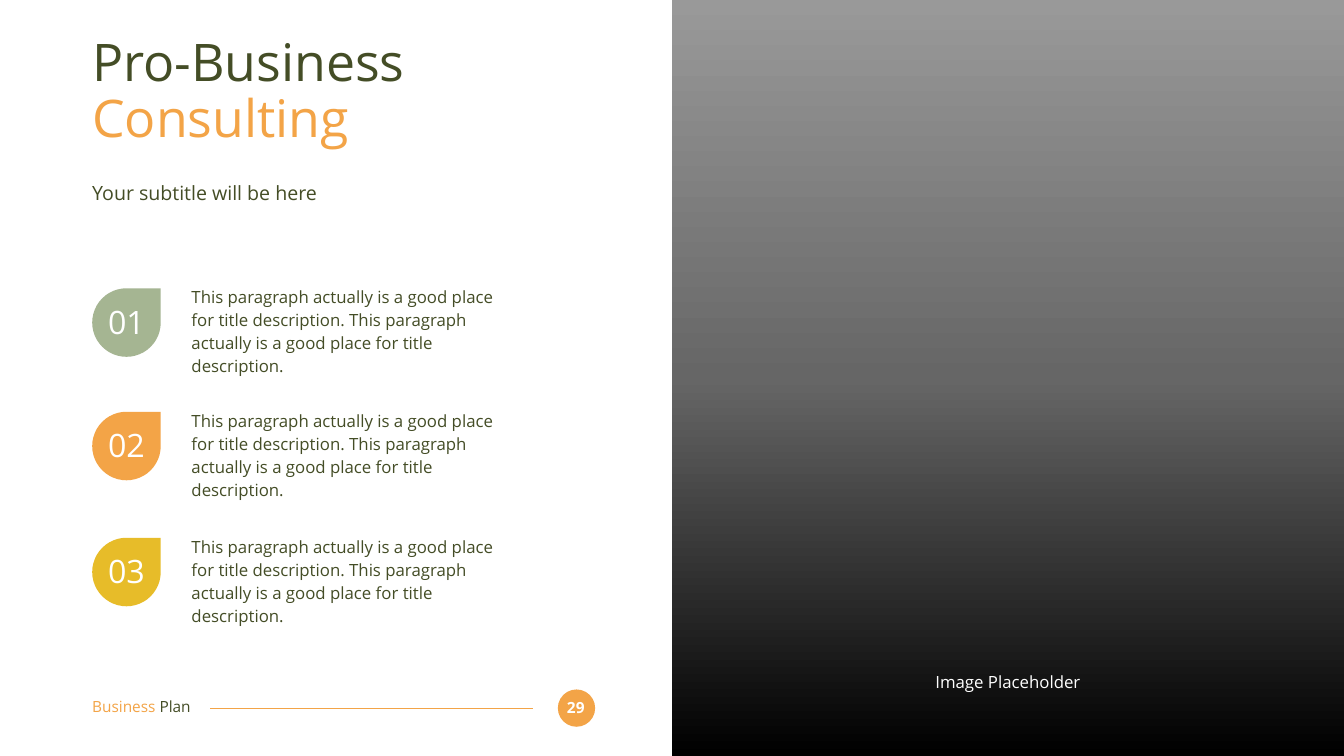
from copy import deepcopy

from pptx import Presentation
from pptx.dml.color import RGBColor
from pptx.enum import shapes, text
from pptx.oxml.ns import qn
from pptx.oxml.xmlchemy import OxmlElement
from pptx.util import Inches, Pt

THEME = {
    "font": "Open Sans",
    "dark": "444D26", "orange": "F3A447", "green": "A5B592",
    "yellow": "E7BC29", "white": "FFFFFF",
    "title": 74, "subtitle": 28, "body": 24, "number": 46, "footer": 22,
}
SLIDE_SIZE = (26.67, 15)
LEFT = 1.83
TITLE = [("Pro-Business ", "dark"), ("Consulting", "orange")]
SUBTITLE = [("Your subtitle will be here", "dark")]
FOOTER = [("Business ", "orange"), ("Plan", "dark")]
PAGE_NUMBER = [("29", "white")]
CAPTION = [("Image Placeholder", "white")]
DESCRIPTION = ("This paragraph actually is a good place for title description. "
               "This paragraph actually is a good place for title description.")
# number, drop colour, top of the row
STEPS = [("01", "green", 5.64), ("02", "orange", 8.09), ("03", "yellow", 10.59)]
PANEL_STOPS = [(0, "000000"), (0.5, "666666"), (1, "999999")]


def rgb(name):
    return RGBColor.from_string(THEME.get(name, name))


def write(box, runs, size, align=text.PP_ALIGN.LEFT, spacing=1.0, bold=False):
    frame = box.text_frame
    settings = dict(word_wrap=True, auto_size=text.MSO_AUTO_SIZE.NONE,
                    vertical_anchor=text.MSO_ANCHOR.TOP, margin_left=0,
                    margin_right=0, margin_top=0, margin_bottom=0)
    for name, value in settings.items():
        setattr(frame, name, value)
    para = frame.paragraphs[0]
    para.alignment = align
    para.line_spacing = spacing
    for words, color in runs:
        span = para.add_run()
        span.text = words
        for name, value in dict(name=THEME["font"], size=Pt(THEME[size]), bold=bold).items():
            setattr(span.font, name, value)
        span.font.color.rgb = rgb(color)


def add_text(page, place, runs, size, **options):
    write(page.shapes.add_textbox(*map(Inches, place)), runs, size, **options)


def add_solid(page, kind, place, color):
    shape = page.shapes.add_shape(kind, *map(Inches, place))
    shape.shadow.inherit = False
    shape.line.fill.background()
    shape.fill.solid()
    shape.fill.fore_color.rgb = rgb(color)
    return shape


def add_footer(page):
    center = text.PP_ALIGN.CENTER
    add_solid(page, shapes.MSO_SHAPE.OVAL, (11.07, 13.68, 0.74, 0.74), "orange")
    add_text(page, (11.13, 13.85, 0.59, 0.37), PAGE_NUMBER, "footer", align=center, bold=True)
    rule = page.shapes.add_connector(
        shapes.MSO_CONNECTOR.STRAIGHT, *map(Inches, (10.57, 14.05, 4.16, 14.05)))
    rule.line.color.rgb = rgb("orange")
    rule.line.width = Pt(1.5)
    rule._element.spPr.append(OxmlElement("a:effectLst"))
    add_text(page, (LEFT, 13.84, 2.59, 0.37), FOOTER, "footer")


def add_step(page, number, color, top):
    add_text(page, (3.8, top, 6.28, 1.53), [(DESCRIPTION, "dark")], "body", spacing=1.14)
    add_solid(page, shapes.MSO_SHAPE.TEAR, (LEFT, top + 0.08, 1.36, 1.36), color)
    add_text(page, (LEFT + 0.13, top + 0.35, 1.1, 0.77), [(number, "white")], "number",
             align=text.PP_ALIGN.CENTER)


def add_panel(page):
    half, height = SLIDE_SIZE[0] / 2, SLIDE_SIZE[1]
    panel = add_solid(page, shapes.MSO_SHAPE.RECTANGLE, (half, 0, half, height), "dark")
    panel.fill.gradient()
    panel.fill.gradient_angle = 90
    stop_list = panel._element.spPr.find(".//" + qn("a:gsLst"))
    stop_list.append(deepcopy(stop_list[-1]))
    for stop, (position, color) in zip(panel.fill.gradient_stops, PANEL_STOPS):
        stop.position = position
        stop.color.rgb = rgb(color)
    add_text(page, (16.48, 13.32, 7.04, 0.4), CAPTION, "body", align=text.PP_ALIGN.CENTER)


def main():
    deck = Presentation()
    deck.slide_width, deck.slide_height = map(Inches, SLIDE_SIZE)
    page = deck.slides.add_slide(deck.slide_layouts.get_by_name("Title Only"))
    add_footer(page)
    title = page.shapes.title
    title.left, title.top, title.width, title.height = map(Inches, (LEFT, 0.73, 9.9, 2.52))
    write(title, TITLE, "title", spacing=0.9)
    add_text(page, (LEFT, 3.59, 9.9, 0.49), SUBTITLE, "subtitle")
    for step in STEPS:
        add_step(page, *step)
    add_panel(page)
    deck.save("out.pptx")


if __name__ == "__main__":
    main()
